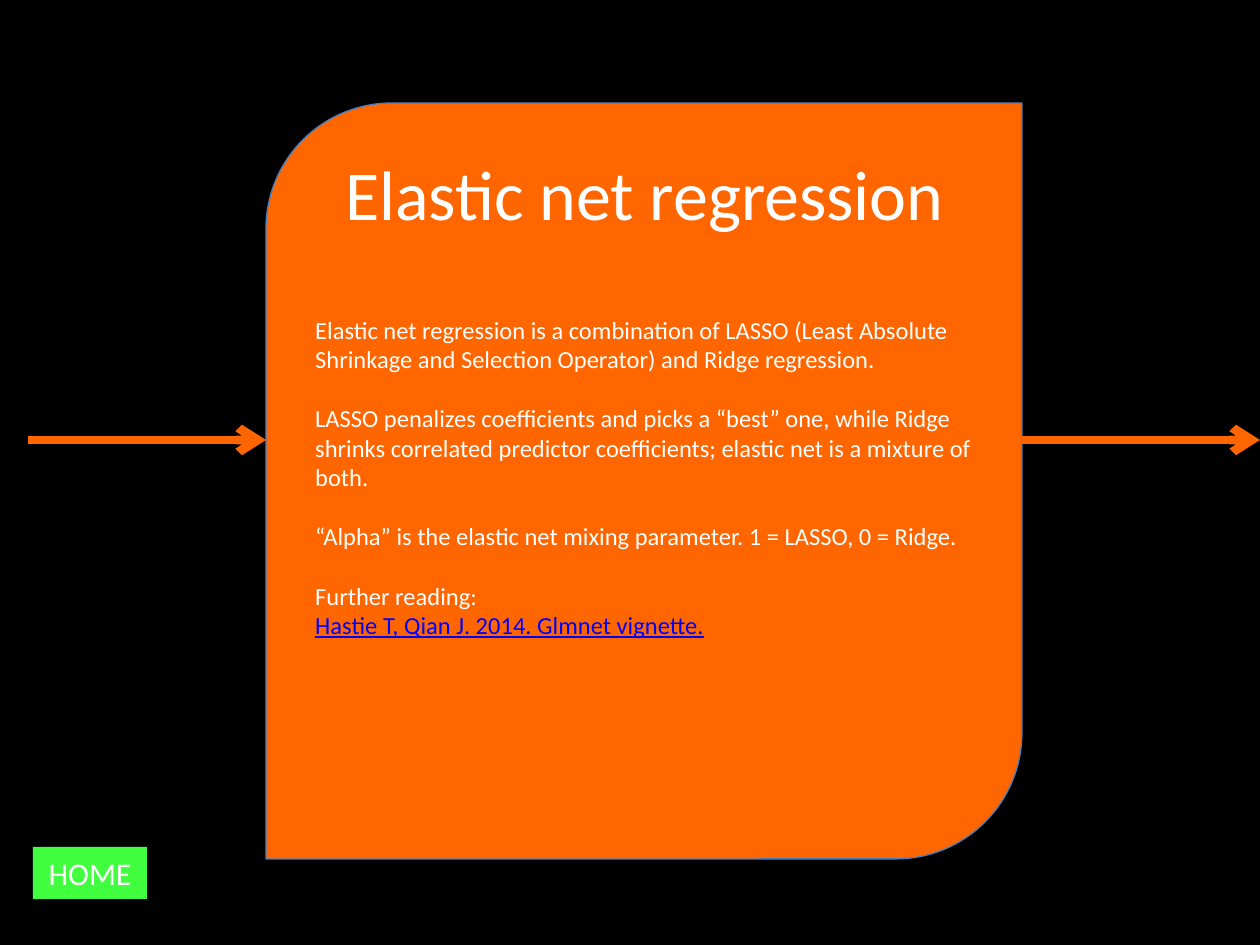
"""Build the elastic net regression slide."""
from lxml import etree
from pptx import Presentation
from pptx.dml.color import RGBColor
from pptx.enum.shapes import MSO_CONNECTOR, MSO_SHAPE
from pptx.enum.text import MSO_ANCHOR, PP_ALIGN
from pptx.oxml.ns import qn
from pptx.util import Pt

PX = 914400 / 126
LEFT, MID = PP_ALIGN.LEFT, PP_ALIGN.CENTER
ORANGE, GREEN, WHITE = "FF6600", "41FF3F", "FFFFFF"


def px(*nums):
    return [round(n * PX) for n in nums]


def write(para, text, size=14, color=WHITE, align=LEFT, gap=0, under=False):
    para.alignment = align
    para.space_before = Pt(gap)
    run = para.add_run()
    run.text = text
    font = run.font
    font.name, font.size, font.underline = "Calibri", Pt(size), under
    font.color.rgb = RGBColor.from_string(color)


deck = Presentation()
deck.slide_width, deck.slide_height = px(1260, 945)
slide = deck.slides.add_slide(deck.slide_layouts[5])
slide.background.fill.solid()
slide.background.fill.fore_color.rgb = RGBColor.from_string("000000")
shapes = slide.shapes

card = shapes.add_shape(MSO_SHAPE.ROUND_2_DIAG_RECTANGLE, *px(266, 103, 756, 756))
home = shapes.add_shape(MSO_SHAPE.RECTANGLE, *px(33, 847, 114, 52))
for shape, color in ((card, ORANGE), (home, GREEN)):
    shape.shadow.inherit = False
    shape.fill.solid()
    shape.fill.fore_color.rgb = RGBColor.from_string(color)
card.line.color.rgb = RGBColor.from_string("4B7EBC")
card.line.width = Pt(0.75)
home.line.fill.background()

title = shapes.title
title.left, title.top, title.width, title.height = px(316, 150, 657, 86)
frame = title.text_frame
frame.margin_left = frame.margin_right = frame.margin_top = frame.margin_bottom = 0
frame.vertical_anchor = MSO_ANCHOR.MIDDLE
write(frame.paragraphs[0], "Elastic net regression", size=40, align=MID)
title.element.getparent().append(title.element)

body = card.text_frame
body.word_wrap = True
body.vertical_anchor = MSO_ANCHOR.TOP
body.margin_top = px(175)[0]
lines = (
    ("Elastic net regression is a combination of LASSO (Least Absolute "
     "Shrinkage and Selection Operator) and Ridge regression.", {}),
    ("LASSO penalizes coefficients and picks a “best” one, while Ridge shrinks "
     "correlated predictor coefficients; elastic net is a mixture of both.", {"gap": 17}),
    ("“Alpha” is the elastic net mixing parameter. 1 = LASSO, 0 = Ridge.", {"gap": 17}),
    ("Further reading:", {"gap": 17}),
    ("Hastie T, Qian J. 2014. Glmnet vignette.", {"color": "0000FF", "under": True}),
)
for i, (text, style) in enumerate(lines):
    para = body.add_paragraph() if i else body.paragraphs[0]
    write(para, text, **style)

label = home.text_frame
label.word_wrap = False
label.vertical_anchor = MSO_ANCHOR.MIDDLE
write(label.paragraphs[0], "HOME", size=18, align=MID)

for start, end in ((1022, 1260), (28, 266)):
    arrow = shapes.add_connector(MSO_CONNECTOR.STRAIGHT, *px(start, 440, end, 440))
    arrow.line.color.rgb = RGBColor.from_string(ORANGE)
    arrow.line.width = Pt(5)
    props = arrow.element.spPr
    etree.SubElement(props.find(qn("a:ln")), qn("a:tailEnd"), type="arrow")
    etree.SubElement(props, qn("a:effectLst"))

deck.save("out.pptx")
